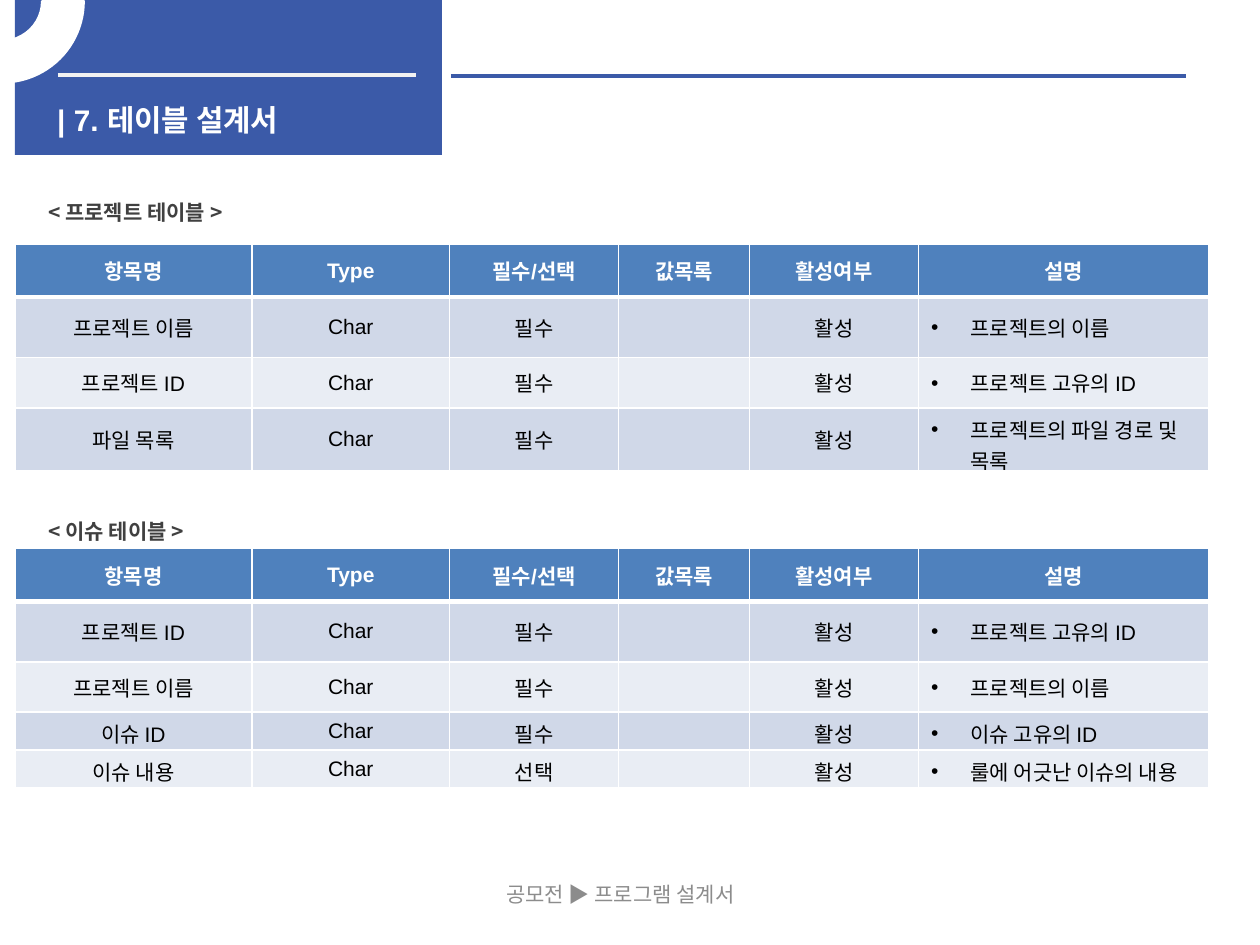
from lxml import etree
from pptx import Presentation
from pptx.dml.color import RGBColor
from pptx.enum.shapes import MSO_CONNECTOR, MSO_SHAPE
from pptx.enum.text import MSO_ANCHOR as Anchor, PP_ALIGN as Align
from pptx.oxml.ns import qn
from pptx.util import Pt

KOREAN = "Noto Sans CJK KR"
BLUE, WHITE = "3B5AA8", "FFFFFF"
HEADER_FILL, BANDS = "4F81BD", ("D0D8E8", "E9EDF4")
COLUMNS = (135.4, 113, 96.5, 74.9, 96.5, 165.6)
HEADINGS = ("항목명", "Type", "필수/선택", "값목록", "활성여부", "설명")


def colour(value):
    return RGBColor.from_string(value)


def write(frame, text, size=12, font=KOREAN, color="000000", bold=False,
          align=Align.LEFT, line_spacing=None, space_before=None):
    para = frame.paragraphs[0]
    para.alignment = align
    para.line_spacing = line_spacing
    if space_before:
        para.space_before = Pt(space_before)
    if not text:
        # Keeps an empty cell from growing to the default text size
        end = etree.SubElement(para._p, qn("a:endParaRPr"))
        end.set("sz", str(size * 100))
        return para
    span = para.add_run()
    span.text = text
    span.font.size = Pt(size)
    span.font.name = font
    span.font.bold = bold
    span.font.color.rgb = colour(color)
    east_asian = etree.SubElement(span._r.get_or_add_rPr(), qn("a:ea"))
    east_asian.set("typeface", KOREAN)
    return para


def add_text(page, left, top, width, height, text, anchor=Anchor.TOP, **style):
    box = page.shapes.add_textbox(Pt(left), Pt(top), Pt(width), Pt(height))
    box.text_frame.word_wrap = True
    box.text_frame.vertical_anchor = anchor
    write(box.text_frame, text, **style)


def add_block(page, kind, left, top, width, height, fill):
    block = page.shapes.add_shape(kind, Pt(left), Pt(top), Pt(width), Pt(height))
    block.shadow.inherit = False
    block.fill.solid()
    block.fill.fore_color.rgb = colour(fill)
    block.line.fill.background()
    return block


def add_rule(page, left, right, top, color):
    rule = page.shapes.add_connector(
        MSO_CONNECTOR.STRAIGHT, Pt(left), Pt(top), Pt(right), Pt(top))
    rule.line.color.rgb = colour(color)
    rule.line.width = Pt(2.25)
    etree.SubElement(rule._element.spPr, qn("a:effectLst"))


def add_header(page, left, top, width, height, text):
    add_block(page, MSO_SHAPE.RECTANGLE, left, top, width, height, BLUE)
    add_rule(page, left + 24.5, left + width - 15, top + 42.8, "F2F2F2")
    add_rule(page, left + width + 5, 677.5, top + 43.2, BLUE)

    # Ring in the corner
    ring = add_block(page, MSO_SHAPE.BLOCK_ARC, left - 54, top - 45.4, 92.9, 92.2, WHITE)
    for index, value in enumerate((96.95, 0, 0.25)):
        ring.adjustments[index] = value
    ring.line.color.rgb = colour(WHITE)
    ring.line.width = Pt(2)
    ring._element.spPr.find(qn("a:xfrm")).set("flipV", "1")

    # Title, brought in front of the header block
    title = page.shapes.title
    title.left, title.top = Pt(left + 16.9), Pt(top + 54.7)
    title.width, title.height = Pt(226.8), Pt(23)
    title.text_frame.word_wrap = True
    title.text_frame.vertical_anchor = Anchor.TOP
    write(title.text_frame, text, size=17, font="Arial", color=WHITE, bold=True)
    title._element.getparent().append(title._element)


def add_borders(cell, top, bottom):
    properties = cell._tc.get_or_add_tcPr()
    widths = {"a:lnL": 1, "a:lnR": 1, "a:lnT": top, "a:lnB": bottom}
    for index, (side, width) in enumerate(widths.items()):
        line = etree.Element(qn(side), w=str(Pt(width)))
        fill = etree.SubElement(line, qn("a:solidFill"))
        etree.SubElement(fill, qn("a:srgbClr"), val=WHITE)
        properties.insert(index, line)


def add_bullet(para):
    properties = para._p.get_or_add_pPr()
    properties.set("marL", str(Pt(22.5)))
    properties.set("indent", str(-Pt(22.5)))
    etree.SubElement(properties, qn("a:buFont"), typeface="Arial")
    etree.SubElement(properties, qn("a:buChar"), char="•")


def add_field_table(page, left, top, heights, fields):
    rows = [HEADINGS] + [(name, "Char", need, "", "활성", note)
                         for name, need, note in fields]
    table = page.shapes.add_table(
        len(rows), len(COLUMNS), Pt(left), Pt(top),
        Pt(sum(COLUMNS)), Pt(sum(heights))).table
    for column, width in zip(table.columns, COLUMNS):
        column.width = Pt(width)
    for r, (values, height) in enumerate(zip(rows, heights)):
        table.rows[r].height = Pt(height)
        heading = r == 0
        for c, text in enumerate(values):
            cell = table.cell(r, c)
            cell.vertical_anchor = Anchor.MIDDLE
            cell.fill.solid()
            cell.fill.fore_color.rgb = colour(
                HEADER_FILL if heading else BANDS[(r - 1) % 2])
            add_borders(cell, top=3 if r == 1 else 1, bottom=3 if heading else 1)
            note = not heading and c == len(COLUMNS) - 1
            para = write(cell.text_frame, text, font="Arial", bold=heading,
                         color=WHITE if heading else "000000",
                         align=Align.LEFT if note else Align.CENTER)
            if note:
                add_bullet(para)


def add_caption(page, top, height, text):
    add_text(page, 20.5, top, 391, height, text, color="404040", bold=True,
             line_spacing=1.2, space_before=2.4)


def main():
    deck = Presentation()
    deck.slide_width, deck.slide_height = Pt(720), Pt(540)
    page = deck.slides.add_slide(deck.slide_layouts[5])

    add_header(page, 8.6, 0, 244, 88.6, "| 7. 테이블 설계서")

    # Project table
    add_caption(page, 107.5, 24.5, "< 프로젝트 테이블 >")
    add_field_table(page, 8.6, 139.6, (30.2, 34.6, 28.8, 36), (
        ("프로젝트 이름", "필수", "프로젝트의 이름"),
        ("프로젝트 ID", "필수", "프로젝트 고유의 ID"),
        ("파일 목록", "필수", "프로젝트의 파일 경로 및 목록")))

    # Issue table
    add_caption(page, 290, 23, "< 이슈 테이블 >")
    add_field_table(page, 8.6, 313.4, (30.2, 34.6, 28.8, 21.6, 21.6), (
        ("프로젝트 ID", "필수", "프로젝트 고유의 ID"),
        ("프로젝트 이름", "필수", "프로젝트의 이름"),
        ("이슈 ID", "필수", "이슈 고유의 ID"),
        ("이슈 내용", "선택", "룰에 어긋난 이슈의 내용")))

    # Footer
    add_text(page, 240.5, 496.8, 228.2, 28.8, "공모전 ▶ 프로그램 설계서",
             anchor=Anchor.MIDDLE, color="8C8C8C", align=Align.CENTER)
    deck.save("out.pptx")


if __name__ == "__main__":
    main()
